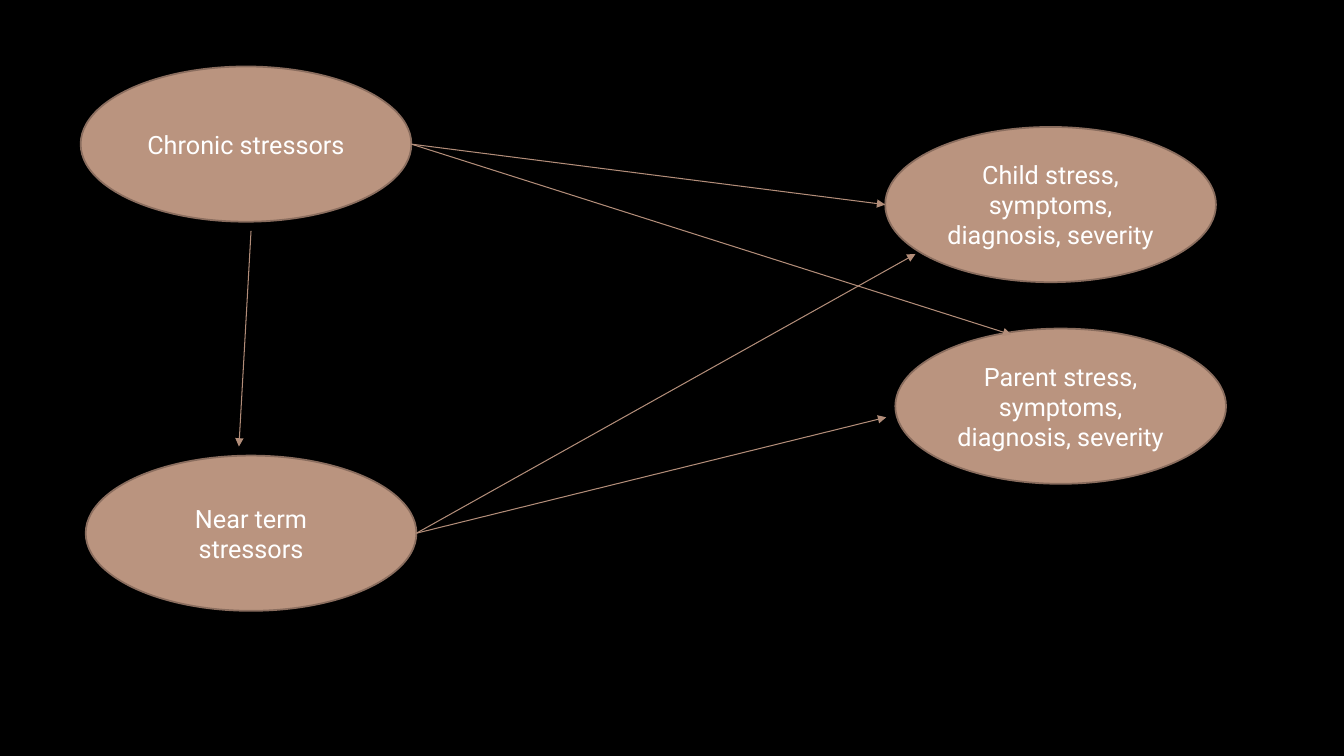
from lxml.etree import SubElement
from pptx import Presentation
from pptx.dml.color import RGBColor
from pptx.enum.shapes import MSO_CONNECTOR, MSO_SHAPE
from pptx.enum.text import MSO_ANCHOR, PP_ALIGN
from pptx.oxml.ns import qn
from pptx.util import Inches, Pt

BLACK = RGBColor(0x00, 0x00, 0x00)
WHITE = RGBColor(0xFF, 0xFF, 0xFF)
TAN = RGBColor(0xBA, 0x94, 0x7F)
OUTLINE = RGBColor(0x8A, 0x6D, 0x5E)
ARROW = RGBColor(0xB2, 0x8D, 0x79)

FACTOR_WIDTH, FACTOR_HEIGHT = 3.28, 1.54
FACTORS = {
    "child": ("Child stress, symptoms, diagnosis, severity", 8.78, 1.26),
    "parent": ("Parent stress, symptoms, diagnosis, severity", 8.88, 3.26),
    "chronic": ("Chronic stressors", 0.8, 0.66),
    "near_term": ("Near term stressors", 0.85, 4.52),
}


def side_middle(factor, right):
    _, left, top = FACTORS[factor]
    return left + FACTOR_WIDTH * right, top + FACTOR_HEIGHT / 2


CHRONIC_EXIT = side_middle("chronic", True)
NEAR_TERM_EXIT = side_middle("near_term", True)
EFFECTS = [
    ((2.49, 2.29), (2.37, 4.43)),
    (CHRONIC_EXIT, side_middle("child", False)),
    (NEAR_TERM_EXIT, (9.08, 2.52)),
    (NEAR_TERM_EXIT, (8.79, 4.14)),
    (CHRONIC_EXIT, (10.03, 3.32)),
]


def add_factor(slide, label, left, top):
    factor = slide.shapes.add_shape(
        MSO_SHAPE.OVAL, Inches(left), Inches(top),
        Inches(FACTOR_WIDTH), Inches(FACTOR_HEIGHT))
    factor.shadow.inherit = False
    factor.fill.solid()
    factor.fill.fore_color.rgb = TAN
    factor.line.color.rgb = OUTLINE
    factor.line.width = Pt(1.25)
    frame = factor.text_frame
    frame.word_wrap = True
    frame.vertical_anchor = MSO_ANCHOR.MIDDLE
    paragraph = frame.paragraphs[0]
    paragraph.text = label
    paragraph.alignment = PP_ALIGN.CENTER
    paragraph.font.name = "Roboto"
    paragraph.font.size = Pt(18)
    paragraph.font.color.rgb = WHITE


def add_effect(slide, start, end):
    effect = slide.shapes.add_connector(
        MSO_CONNECTOR.STRAIGHT, *(Inches(value) for value in start + end))
    effect.line.color.rgb = ARROW
    effect.line.width = Pt(0.75)
    SubElement(effect.line._get_or_add_ln(), qn("a:tailEnd"), type="triangle")
    SubElement(effect._element.spPr, qn("a:effectLst"))


def main():
    deck = Presentation()
    deck.slide_width, deck.slide_height = Inches(13.33), Inches(7.5)
    slide = deck.slides.add_slide(deck.slide_layouts[6])
    slide.background.fill.solid()
    slide.background.fill.fore_color.rgb = BLACK
    for label, left, top in FACTORS.values():
        add_factor(slide, label, left, top)
    for start, end in EFFECTS:
        add_effect(slide, start, end)
    deck.save("out.pptx")


if __name__ == "__main__":
    main()
